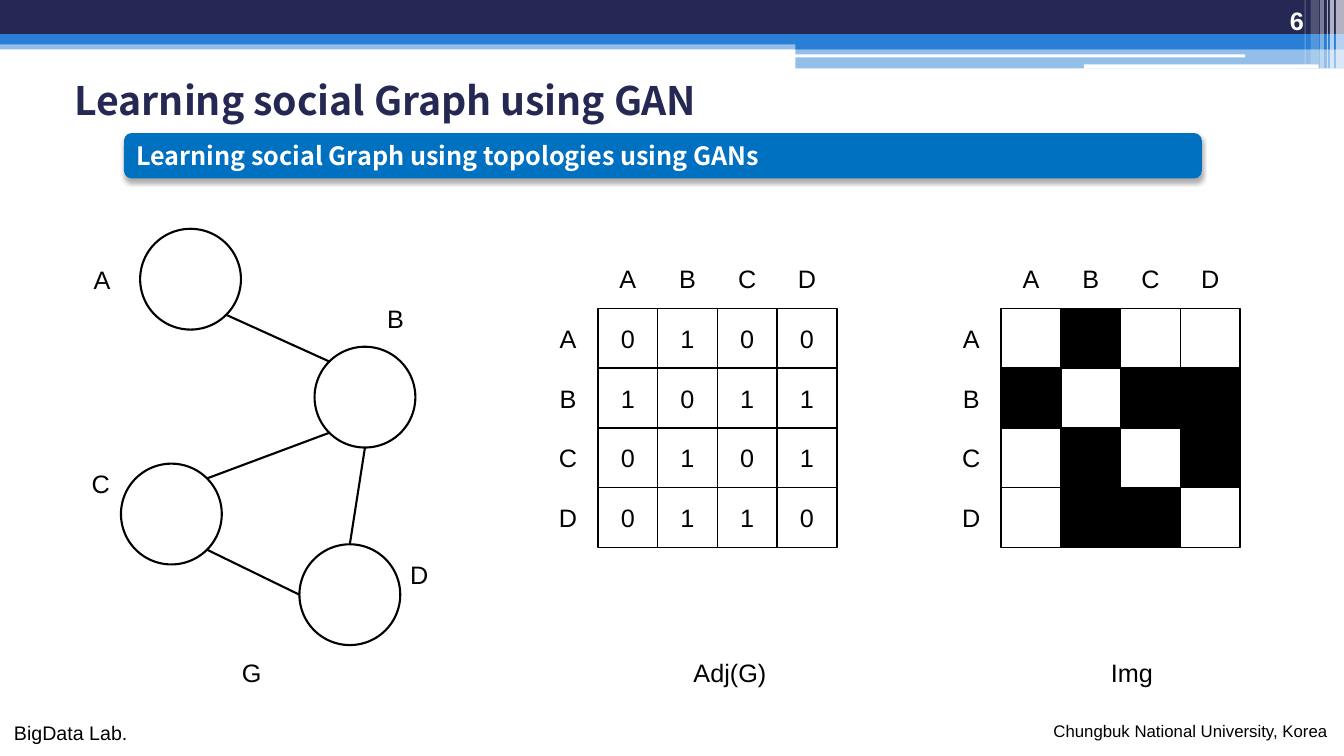
import math

from lxml import etree
from pptx import Presentation
from pptx import util as u
from pptx.dml.color import RGBColor
from pptx.enum import shapes, text
from pptx.oxml.ns import qn

NAVY, BLUE, BANNER, BLACK, WHITE = "242852", "297FD5", "0070C0", "000000", "FFFFFF"
SANS, HEAVY = "Arial", "Noto Sans CJK KR"
LEFT, CENTER, RIGHT = text.PP_ALIGN.LEFT, text.PP_ALIGN.CENTER, text.PP_ALIGN.RIGHT
TOP, MIDDLE, BOTTOM = text.MSO_ANCHOR.TOP, text.MSO_ANCHOR.MIDDLE, text.MSO_ANCHOR.BOTTOM
RECT, ROUND, OVAL = (shapes.MSO_SHAPE.RECTANGLE, shapes.MSO_SHAPE.ROUNDED_RECTANGLE,
                     shapes.MSO_SHAPE.OVAL)

HEADER_BARS = [
    (RECT, (0, 0.4, 13.33, 0.09), BLUE, 50),
    (RECT, (0, 0, 13.33, 0.34), NAVY, 100),
    (RECT, (0, 0.34, 13.33, 0.1), BLUE, 100),
    (RECT, (7.89, 0.39, 5.44, 0.1), BLUE, 100),
    (RECT, (7.89, 0.48, 5.44, 0.2), BLUE, 50),
    (ROUND, (7.88, 0.54, 4.47, 0.03), WHITE, 100),
    (ROUND, (10.75, 0.64, 2.33, 0.04), WHITE, 100),
]
HEADER_STRIPES = [
    (13.25, 0.08, 0.68, 65), (13.19, 0.04, 0.68, 65), (13.16, 0.01, 0.68, 60),
    (13.09, 0.04, 0.68, 40), (13, 0.08, 0.64, 20), (12.94, 0.01, 0.64, 30),
]

TITLE = "Learning social Graph using GAN"
SUBTITLE = "Learning social Graph using topologies using GANs"
PAGE = "6"
FOOTERS = [
    ("BigData Lab.", (0.04, 7.1, 1.33, 0.34), 14),
    ("Chungbuk National University, Korea", (10.35, 7.1, 2.94, 0.3), 12),
]
CAPTIONS = [
    ("G", (2.3, 6.47, 0.4, 0.4)),
    ("Adj(G)", (6.78, 6.47, 0.93, 0.4)),
    ("Img", (10.92, 6.47, 0.62, 0.4)),
]

NODE_SIZE = 1
NODES = {
    "A": {"at": (1.39, 2.27), "label": (0.83, 2.57)},
    "B": {"at": (3.12, 3.44), "label": (3.74, 2.96)},
    "C": {"at": (1.2, 4.6), "label": (0.81, 4.6)},
    "D": {"at": (2.97, 5.4), "label": (3.97, 5.5)},
}
SITES = ["top", "top left", "left", "bottom left",
         "bottom", "bottom right", "right", "top right"]
EDGES = [
    ("A", "bottom right", "B", "top left"),
    ("C", "top right", "B", "bottom left"),
    ("C", "bottom right", "D", "left"),
    ("B", "bottom", "D", "top"),
]

ADJACENCY = [
    [0, 1, 0, 0],
    [1, 0, 1, 1],
    [0, 1, 0, 1],
    [0, 1, 1, 0],
]
MATRIX_TOP, MATRIX_SIZE = 3.06, 2.37
ADJ_LEFT, IMG_LEFT = 5.93, 9.93

deck = Presentation()
deck.slide_width, deck.slide_height = u.Inches(13.33), u.Inches(7.5)
slide = deck.slides.add_slide(deck.slide_layouts[6])


def paint(color_format, color):
    color_format.rgb = RGBColor.from_string(color)


def write(holder, words, size=18, font=SANS, color=BLACK, bold=False,
          align=LEFT, anchor=TOP, wrap=True):
    frame = holder.text_frame
    frame.word_wrap = wrap
    frame.vertical_anchor = anchor
    paragraph = frame.paragraphs[0]
    paragraph.alignment = align
    run = paragraph.add_run()
    run.text = words
    run.font.size, run.font.name, run.font.bold = u.Pt(size), font, bold
    paint(run.font.color, color)
    return paragraph


def label(words, at, **style):
    return write(slide.shapes.add_textbox(*map(u.Inches, at)), words, **style)


def block(kind, at, fill=None, opacity=100, line=0):
    part = slide.shapes.add_shape(kind, *map(u.Inches, at))
    part.shadow.inherit = False
    if fill:
        part.fill.solid()
        paint(part.fill.fore_color, fill)
        if opacity < 100:
            tint = part.fill._xPr.find(".//" + qn("a:srgbClr"))
            etree.SubElement(tint, qn("a:alpha"), val=str(opacity * 1000))
    else:
        part.fill.background()
    if line:
        part.line.width = u.Pt(line)
        paint(part.line.color, BLACK)
    else:
        part.line.fill.background()
    return part


def drop_shadow(part):
    effects = part._element.spPr.find(qn("a:effectLst"))
    outer = etree.SubElement(effects, qn("a:outerShdw"), blurRad=str(u.Pt(3.5)),
                             dist=str(u.Pt(2.2)), dir="5400000", rotWithShape="0")
    tint = etree.SubElement(outer, qn("a:srgbClr"), val=BLACK)
    etree.SubElement(tint, qn("a:alpha"), val="32000")


def site_point(node, site):
    angle = math.radians(90 + 45 * SITES.index(site))
    left, top = NODES[node]["at"]
    radius = NODE_SIZE / 2
    return (u.Inches(left + radius + radius * math.cos(angle)),
            u.Inches(top + radius - radius * math.sin(angle)))


def join(circles, start, start_site, end, end_site):
    edge = slide.shapes.add_connector(shapes.MSO_CONNECTOR.STRAIGHT,
                                      *site_point(start, start_site),
                                      *site_point(end, end_site))
    edge.line.width = u.Pt(1.5)
    paint(edge.line.color, BLACK)
    etree.SubElement(edge._element.spPr, qn("a:effectLst"))
    glue = edge._element.nvCxnSpPr.cNvCxnSpPr
    for tag, node, site in (("a:stCxn", start, start_site), ("a:endCxn", end, end_site)):
        etree.SubElement(glue, qn(tag), id=str(circles[node].shape_id),
                         idx=str(SITES.index(site)))


def matrix(left, as_image):
    step = MATRIX_SIZE / len(ADJACENCY)

    def cell_at(row, column):
        return left + column * step, MATRIX_TOP + row * step, step, step

    for row, values in enumerate(ADJACENCY):
        for column, value in enumerate(values):
            fill = BLACK if as_image and value else None
            cell = block(RECT, cell_at(row, column), fill, line=1)
            if not as_image:
                write(cell, str(value), align=CENTER, anchor=MIDDLE)
    for index, name in enumerate(NODES):
        for place in (cell_at(-1, index), cell_at(index, -1)):
            label(name, place, align=CENTER, anchor=MIDDLE)


for kind, at, color, opacity in HEADER_BARS:
    block(kind, at, color, opacity)
for left, width, height, opacity in HEADER_STRIPES:
    block(RECT, (left, 0, width, height), WHITE, opacity)
for words, at, size in FOOTERS:
    label(words, at, size=size, wrap=False)

heading = label(TITLE, (0.52, 0.15, 12.05, 1.17), size=28, font=HEAVY, color=NAVY,
                bold=True, anchor=MIDDLE)
heading.line_spacing = 2.1
heading._p.get_or_add_pPr().set("marL", str(u.Inches(0.12)))

banner = block(ROUND, (1.23, 1.32, 10.69, 0.45), BANNER)
drop_shadow(banner)
write(banner, SUBTITLE, font=HEAVY, color=WHITE, bold=True, anchor=MIDDLE)
label(PAGE, (11.92, 0, 1.11, 0.4), color=WHITE, bold=True, align=RIGHT, anchor=BOTTOM)

circles = {name: block(OVAL, (*node["at"], NODE_SIZE, NODE_SIZE), line=1.5)
           for name, node in NODES.items()}
for edge_ends in EDGES:
    join(circles, *edge_ends)
for name, node in NODES.items():
    label(name, (*node["label"], 0.38, 0.4), wrap=False)

matrix(ADJ_LEFT, as_image=False)
matrix(IMG_LEFT, as_image=True)
for words, at in CAPTIONS:
    label(words, at, wrap=False)

deck.save("out.pptx")
